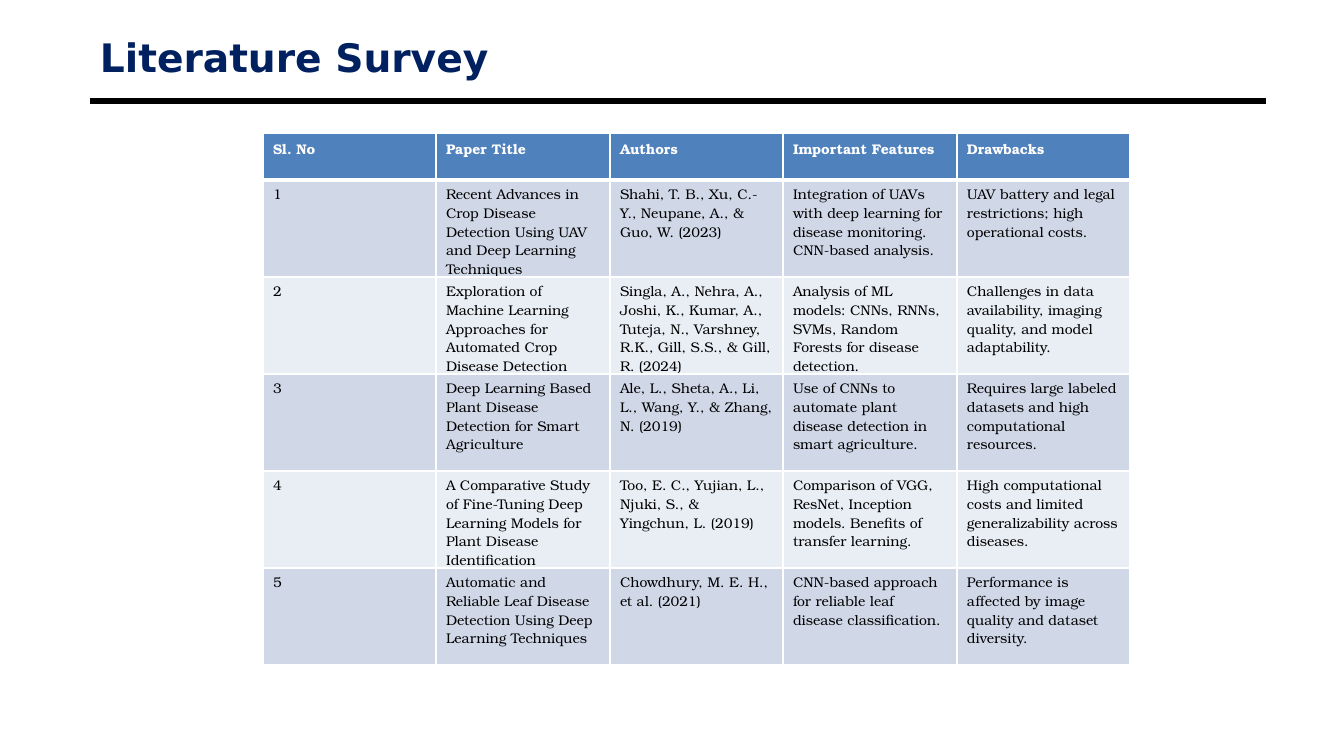
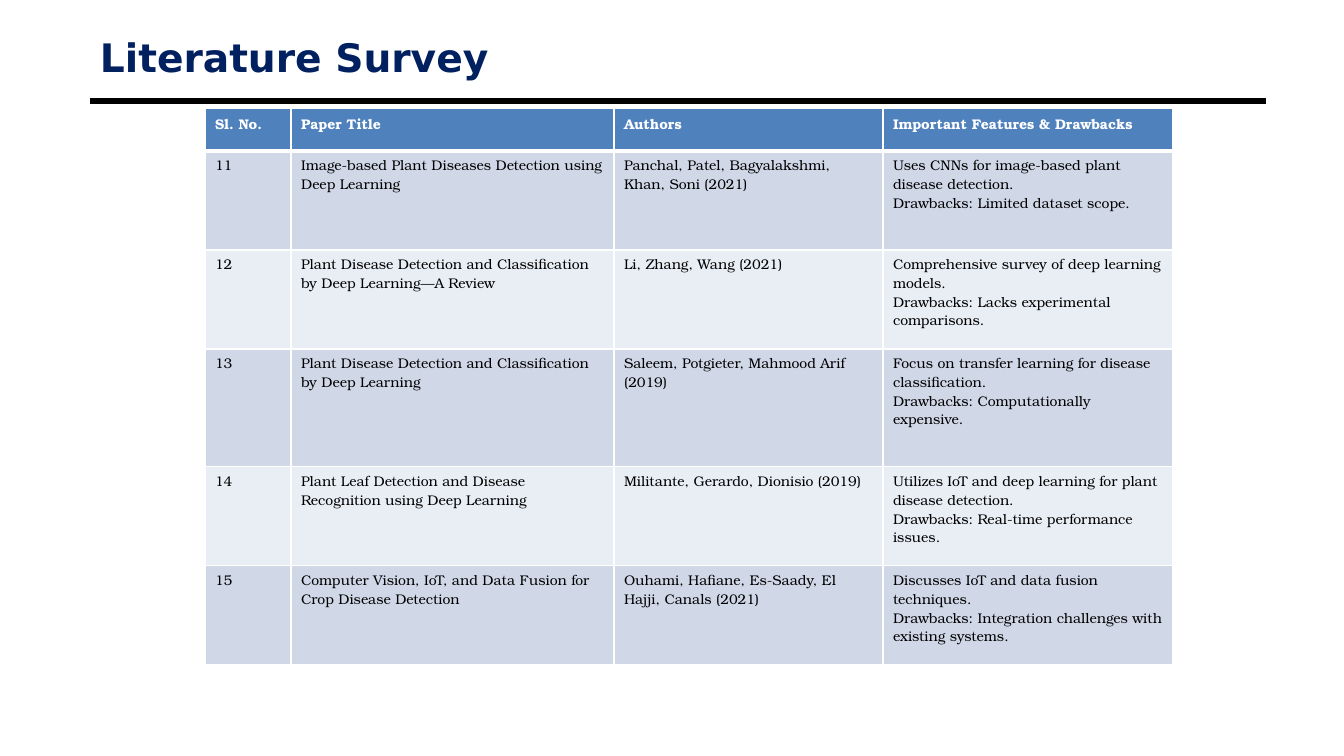
from lxml import etree
from pptx import Presentation
from pptx.dml.color import RGBColor
from pptx.enum.shapes import MSO_CONNECTOR
from pptx.enum.text import MSO_ANCHOR
from pptx.oxml.ns import qn
from pptx.util import Pt

PX = 914400 / 100.8
STRAIGHT = MSO_CONNECTOR.STRAIGHT
MIDDLE = MSO_ANCHOR.MIDDLE

# Shared look
TITLE_FONT, TITLE_SIZE, TITLE_COLOR = "DejaVu Sans", 28, "002060"
TABLE_FONT, TABLE_SIZE = "TeX Gyre Bonum", 10
HEADER_FILL, BAND_FILLS = "4F81BD", ("D0D8E8", "E9EDF4")
WHITE, BLACK = "FFFFFF", "000000"
MARGIN, CONTENT_WIDTH = 90, 1176

# Content of the two surveys
surveys = [
    {
        "left": 263, "top": 133,
        "columns": [173, 174, 173, 174, 173],
        "rows": [47, 97, 97, 97, 97, 97],
        "cells": [
            ("Sl. No", "Paper Title", "Authors", "Important Features", "Drawbacks"),
            ("1", "Recent Advances in Crop Disease Detection Using UAV and Deep Learning Techniques",
             "Shahi, T. B., Xu, C.-Y., Neupane, A., & Guo, W. (2023)",
             "Integration of UAVs with deep learning for disease monitoring. CNN-based analysis.",
             "UAV battery and legal restrictions; high operational costs."),
            ("2", "Exploration of Machine Learning Approaches for Automated Crop Disease Detection",
             "Singla, A., Nehra, A., Joshi, K., Kumar, A., Tuteja, N., Varshney, R.K., "
             "Gill, S.S., & Gill, R. (2024)",
             "Analysis of ML models: CNNs, RNNs, SVMs, Random Forests for disease detection.",
             "Challenges in data availability, imaging quality, and model adaptability."),
            ("3", "Deep Learning Based Plant Disease Detection for Smart Agriculture",
             "Ale, L., Sheta, A., Li, L., Wang, Y., & Zhang, N. (2019)",
             "Use of CNNs to automate plant disease detection in smart agriculture.",
             "Requires large labeled datasets and high computational resources."),
            ("4", "A Comparative Study of Fine-Tuning Deep Learning Models for Plant Disease Identification",
             "Too, E. C., Yujian, L., Njuki, S., & Yingchun, L. (2019)",
             "Comparison of VGG, ResNet, Inception models. Benefits of transfer learning.",
             "High computational costs and limited generalizability across diseases."),
            ("5", "Automatic and Reliable Leaf Disease Detection Using Deep Learning Techniques",
             "Chowdhury, M. E. H., et al. (2021)",
             "CNN-based approach for reliable leaf disease classification.",
             "Performance is affected by image quality and dataset diversity."),
        ],
    },
    {
        "left": 205, "top": 108,
        "columns": [86, 323, 269, 290],
        "rows": [43, 99, 99, 118, 99, 99],
        "cells": [
            ("Sl. No.", "Paper Title", "Authors", "Important Features & Drawbacks"),
            ("11", "Image-based Plant Diseases Detection using Deep Learning",
             "Panchal, Patel, Bagyalakshmi, Khan, Soni (2021)",
             "Uses CNNs for image-based plant disease detection.\n"
             "Drawbacks: Limited dataset scope."),
            ("12", "Plant Disease Detection and Classification by Deep Learning—A Review",
             "Li, Zhang, Wang (2021)",
             "Comprehensive survey of deep learning models.\n"
             "Drawbacks: Lacks experimental comparisons."),
            ("13", "Plant Disease Detection and Classification by Deep Learning",
             "Saleem, Potgieter, Mahmood Arif (2019)",
             "Focus on transfer learning for disease classification.\n"
             "Drawbacks: Computationally expensive."),
            ("14", "Plant Leaf Detection and Disease Recognition using Deep Learning",
             "Militante, Gerardo, Dionisio (2019)",
             "Utilizes IoT and deep learning for plant disease detection.\n"
             "Drawbacks: Real-time performance issues."),
            ("15", "Computer Vision, IoT, and Data Fusion for Crop Disease Detection",
             "Ouhami, Hafiane, Es-Saady, El Hajji, Canals (2021)",
             "Discusses IoT and data fusion techniques.\n"
             "Drawbacks: Integration challenges with existing systems."),
        ],
    },
]


def px(*lengths):
    return [round(length * PX) for length in lengths]


def style_text(frame, font, size, color, bold):
    for paragraph in frame.paragraphs:
        for run in paragraph.runs:
            run.font.name = font
            run.font.size = Pt(size)
            run.font.bold = bold
            run.font.color.rgb = RGBColor.from_string(color)


prs = Presentation()
prs.slide_width, prs.slide_height = px(1344, 756)

for survey in surveys:
    slide = prs.slides.add_slide(prs.slide_layouts[6])

    # Rule under the title
    rule = slide.shapes.add_connector(STRAIGHT, *px(MARGIN, 101, MARGIN + CONTENT_WIDTH, 101))
    rule.line.color.rgb = RGBColor.from_string(BLACK)
    rule.line.width = Pt(4.5)
    etree.SubElement(rule._element.spPr, qn("a:effectLst"))

    # Title
    title = slide.shapes.add_textbox(*px(MARGIN, 30, CONTENT_WIDTH, 54)).text_frame
    title.word_wrap = True
    title.vertical_anchor = MIDDLE
    title.text = "Literature Survey"
    style_text(title, TITLE_FONT, TITLE_SIZE, TITLE_COLOR, True)

    # Survey table
    columns, rows = survey["columns"], survey["rows"]
    table = slide.shapes.add_table(
        len(rows), len(columns),
        *px(survey["left"], survey["top"], sum(columns), sum(rows))).table
    for column, width in zip(table.columns, px(*columns)):
        column.width = width
    for row, height in zip(table.rows, px(*rows)):
        row.height = height

    for r, texts in enumerate(survey["cells"]):
        header = r == 0
        fill = HEADER_FILL if header else BAND_FILLS[(r - 1) % 2]
        # The header and the first row share a heavier border
        borders = {"lnL": 1, "lnR": 1, "lnT": 3 if r == 1 else 1, "lnB": 3 if header else 1}
        for c, text in enumerate(texts):
            cell = table.cell(r, c)
            cell.text_frame.text = text
            style_text(cell.text_frame, TABLE_FONT, TABLE_SIZE, WHITE if header else BLACK, header)
            properties = cell._tc.get_or_add_tcPr()
            for side, weight in borders.items():
                border = etree.SubElement(properties, qn(f"a:{side}"), w=str(Pt(weight)))
                line_fill = etree.SubElement(border, qn("a:solidFill"))
                etree.SubElement(line_fill, qn("a:srgbClr"), val=WHITE)
            cell.fill.solid()
            cell.fill.fore_color.rgb = RGBColor.from_string(fill)

prs.save("out.pptx")
